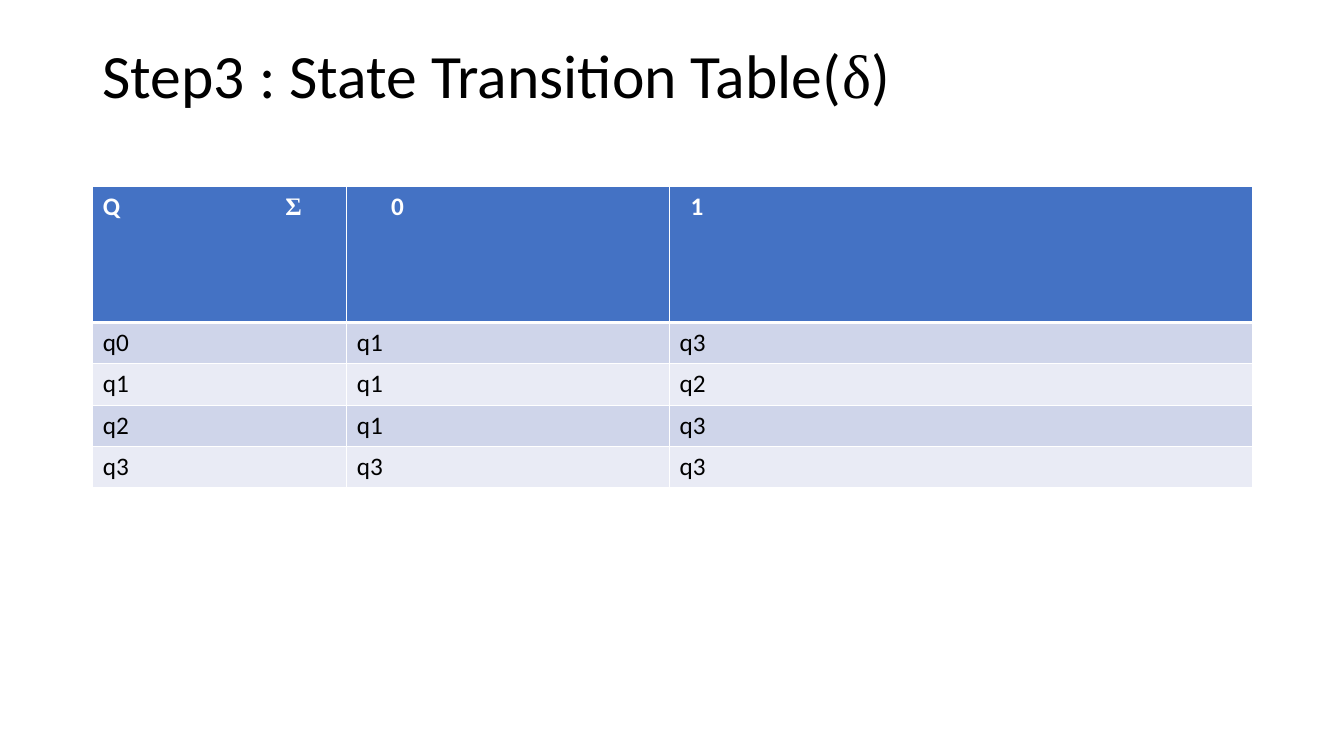
from lxml.etree import SubElement
from pptx import Presentation
from pptx.dml.color import RGBColor
from pptx.enum.text import MSO_ANCHOR
from pptx.oxml.ns import qn
from pptx.util import Inches, Pt

SANS, SERIF = "Calibri", "Times New Roman"
WIDTHS = [2.52, 3.2, 5.78]
TALL, LOW = 1.35, 0.41
HEAD = [[("Q\t", SANS), ("Σ", SERIF)], [("0", SANS)], [("1", SANS)]]
INDENTS = [0.1, 0.44, 0.21]
STATES = [
    ["q0", "q1", "q3"],
    ["q1", "q1", "q2"],
    ["q2", "q1", "q3"],
    ["q3", "q3", "q3"],
]
BANDS = ["CFD5EA", "E9EBF5"]
TITLE = {"size": Pt(44), "bold": False}
LABEL = {"size": Pt(18), "bold": True}
BODY = {"size": Pt(18), "bold": False}


def color(code):
    """Turn a hex string into a colour."""
    return RGBColor.from_string(code)


def write(para, parts, style, ink):
    """Add runs of text, each in its own font."""
    for text, face in parts:
        run = para.add_run()
        run.text = text
        for name, value in {**style, "name": face}.items():
            setattr(run.font, name, value)
        run.font.color.rgb = color(ink)


def add_title(slide, parts):
    """Add the heading at the top of the slide."""
    box = slide.shapes.add_textbox(
        Inches(0.92), Inches(0.4), Inches(11.5), Inches(1.45))
    frame = box.text_frame
    frame.word_wrap = True
    frame.vertical_anchor = MSO_ANCHOR.TOP
    para = frame.paragraphs[0]
    para.line_spacing = 0.9
    write(para, parts, TITLE, "000000")


def add_tab(para, place):
    """Set a left tab stop in a paragraph."""
    stops = SubElement(para._p.get_or_add_pPr(), qn("a:tabLst"))
    SubElement(stops, qn("a:tab"), pos=str(Inches(place)), algn="l")


def border(cell, top, bottom):
    """Draw white lines around a cell."""
    props = cell._tc.get_or_add_tcPr()
    for side, width in {"L": 1, "R": 1, "T": top, "B": bottom}.items():
        line = SubElement(props, qn(f"a:ln{side}"), w=str(Pt(width)))
        fill = SubElement(line, qn("a:solidFill"))
        SubElement(fill, qn("a:srgbClr"), val="FFFFFF")


def paint(cell, code, top=1, bottom=1):
    """Give a cell its borders and fill."""
    border(cell, top, bottom)
    cell.fill.solid()
    cell.fill.fore_color.rgb = color(code)


def add_states(slide):
    """Add the state transition table."""
    heights = [TALL] + [LOW] * len(STATES)
    table = slide.shapes.add_table(
        len(heights), len(WIDTHS), Inches(0.92), Inches(1.85),
        Inches(sum(WIDTHS)), Inches(sum(heights))).table
    for col, width in zip(table.columns, WIDTHS):
        col.width = Inches(width)
    for row, height in zip(table.rows, heights):
        row.height = Inches(height)
    for col, (parts, indent) in enumerate(zip(HEAD, INDENTS)):
        cell = table.cell(0, col)
        paint(cell, "4472C4", bottom=3)
        cell.margin_left = Inches(indent)
        write(cell.text_frame.paragraphs[0], parts, LABEL, "FFFFFF")
    add_tab(table.cell(0, 0).text_frame.paragraphs[0], 1.81)
    for row, names in enumerate(STATES):
        for col, name in enumerate(names):
            cell = table.cell(row + 1, col)
            paint(cell, BANDS[row % 2], top=1 if row else 3)
            para = cell.text_frame.paragraphs[0]
            write(para, [(name, SANS)], BODY, "000000")


def main():
    """Build and save the slide."""
    deck = Presentation()
    deck.slide_width, deck.slide_height = Inches(13.33), Inches(7.5)
    slide = deck.slides.add_slide(deck.slide_layouts[6])
    add_title(slide, [("Step3 : State Transition Table(", SANS),
                      ("δ", SERIF), (")", SANS)])
    add_states(slide)
    deck.save("out.pptx")


if __name__ == "__main__":
    main()
